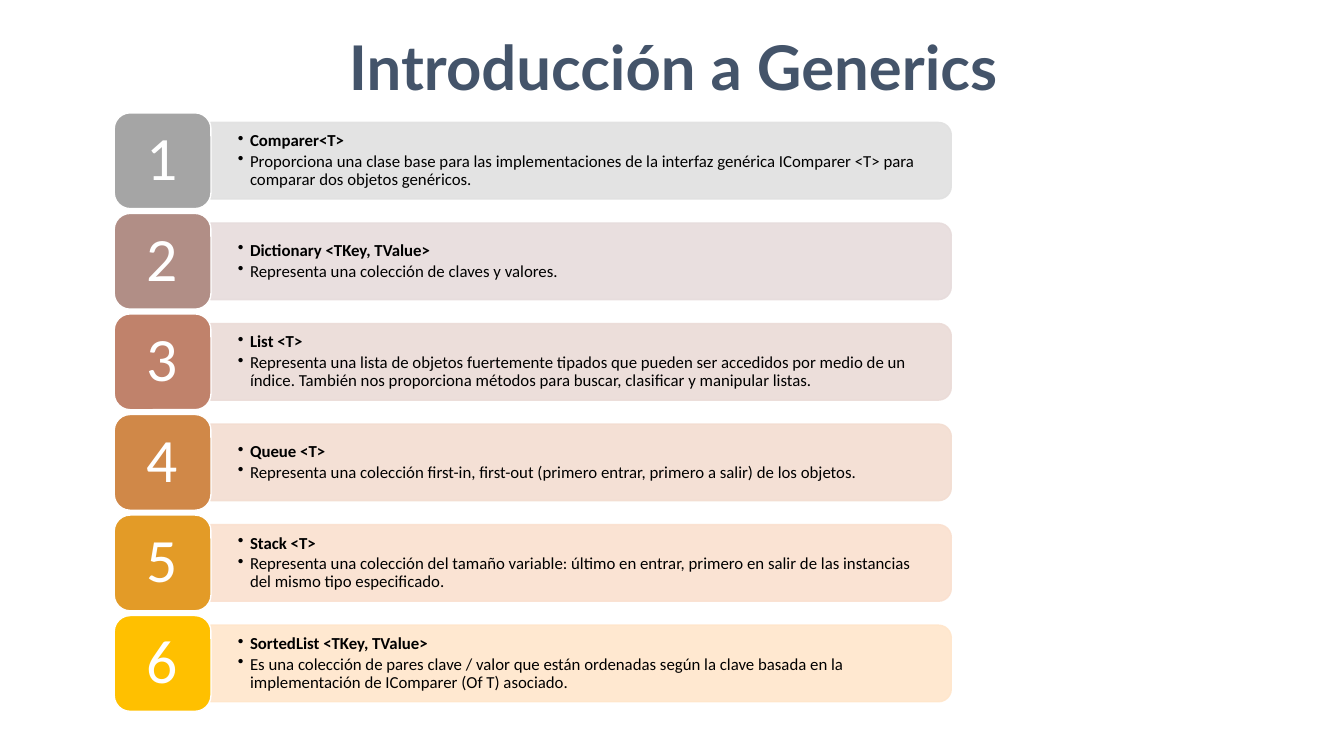
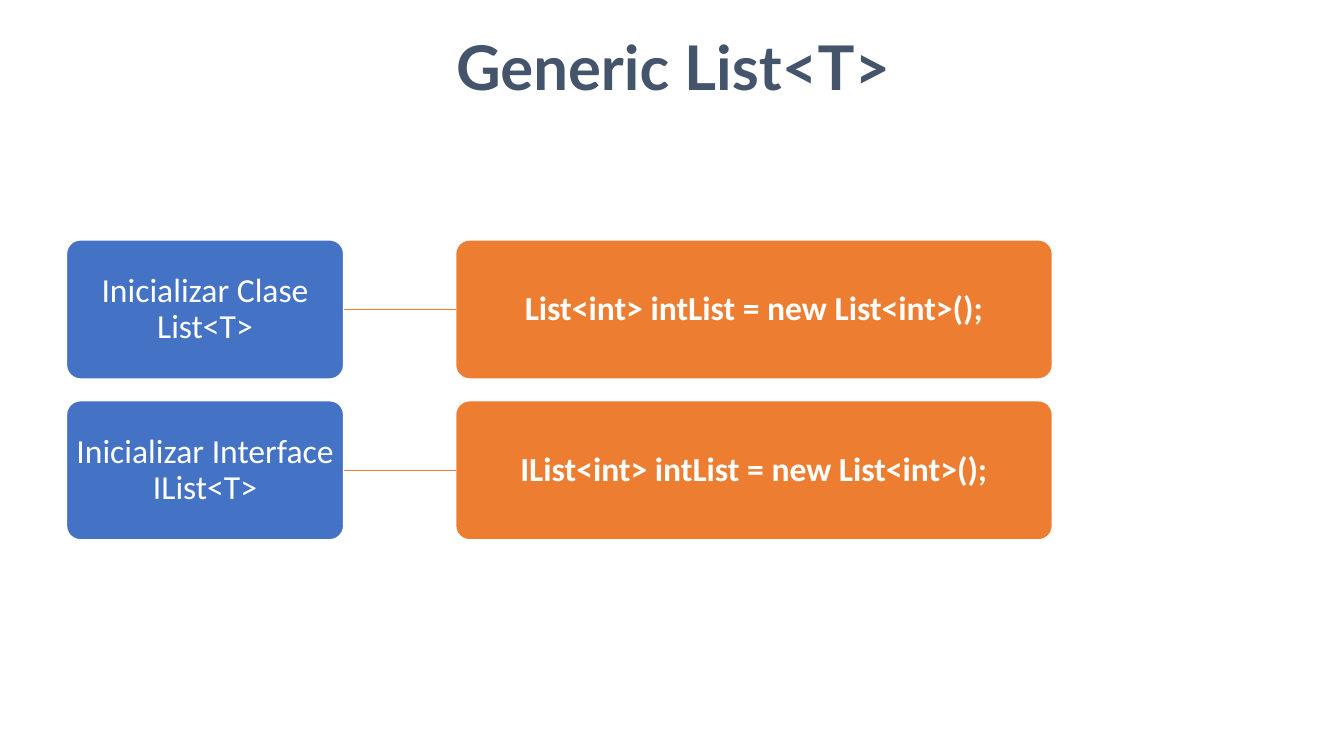
import dataclasses
import typing

import lxml.etree
import pptx
import pptx.dml.color
import pptx.enum.shapes
import pptx.enum.text
import pptx.oxml.ns
import pptx.util

SHAPE = pptx.enum.shapes.MSO_SHAPE
ALIGN = pptx.enum.text.PP_ALIGN
ANCHOR = pptx.enum.text.MSO_ANCHOR
WIDE = pptx.util.Inches(13.33)
HIGH = pptx.util.Inches(7.5)


@dataclasses.dataclass(frozen=True)
class Theme:
    head: str = "Lato"
    body: str = "Calibri"
    navy: str = "44546A"
    blue: str = "4472C4"
    orange: str = "ED7D31"
    white: str = "FFFFFF"
    black: str = "000000"
    big: int = 44
    mid: int = 24
    small: int = 12
    line: int = 1
    lead: float = 0.9
    alpha: int = 90


@dataclasses.dataclass(frozen=True)
class Area:
    """Left, top, width and height in hundredths of the slide's size."""
    left: float
    top: float
    wide: float
    high: float

    def down(self, rows: float) -> "Area":
        return dataclasses.replace(self, top=self.top + rows)

    def box(self) -> tuple[int, int, int, int]:
        return (int(WIDE * self.left / 100), int(HIGH * self.top / 100),
                int(WIDE * self.wide / 100), int(HIGH * self.high / 100))


@dataclasses.dataclass(frozen=True)
class Entry:
    name: str
    about: str
    badge: str
    band: str


@dataclasses.dataclass(frozen=True)
class Pair:
    label: str
    code: str


THEME = Theme()
TITLE = Area(1, 3.5, 98.2, 10.5)
BADGE = Area(8.5, 14.93, 7.2, 12.67)
BAND = Area(15.68, 16.2, 55.1, 10.13)
STEP = 13.3
LABEL = Area(4.95, 31.73, 20.62, 18.4)
CODE = Area(33.9, 31.73, 44.4, 18.4)
PITCH = 21.27

ENTRIES = (
    Entry("Comparer<T>",
          "Proporciona una clase base para las implementaciones de la interfaz "
          "genérica IComparer <T> para comparar dos objetos genéricos.",
          "A5A5A5", "E1E1E1"),
    Entry("Dictionary <TKey, TValue>",
          "Representa una colección de claves y valores.",
          "B18E86", "E7DCDC"),
    Entry("List <T>",
          "Representa una lista de objetos fuertemente tipados que pueden ser "
          "accedidos por medio de un índice. También nos proporciona métodos "
          "para buscar, clasificar y manipular listas.",
          "C0826B", "EBDBD7"),
    Entry("Queue <T>",
          "Representa una colección first-in, first-out (primero entrar, "
          "primero a salir) de los objetos.",
          "D08848", "F3DDD1"),
    Entry("Stack <T>",
          "Representa una colección del tamaño variable: último en entrar, "
          "primero en salir de las instancias del mismo tipo especificado.",
          "E39B27", "FAE0CF"),
    Entry("SortedList <TKey, TValue>",
          "Es una colección de pares clave / valor que están ordenadas según "
          "la clave basada en la implementación de IComparer (Of T) asociado.",
          "FFC000", "FFE6CB"),
)
PAIRS = (
    Pair("Inicializar Clase List<T>", "List<int> intList = new List<int>();"),
    Pair("Inicializar Interface IList<T>",
         "IList<int> intList = new List<int>();"),
)


def hue(code: str) -> pptx.dml.color.RGBColor:
    return pptx.dml.color.RGBColor.from_string(code)


def style(part: typing.Any, face: str, size: int, tint: str,
          bold: bool = False) -> None:
    part.font.name = face
    part.font.size = pptx.util.Pt(size)
    part.font.color.rgb = hue(tint)
    part.font.bold = bold


def frame(shape: typing.Any, side: float, edge: float,
          anchor: typing.Any = ANCHOR.MIDDLE) -> typing.Any:
    """Set wrapping, insets in inches and anchor, and return the text frame."""
    text = shape.text_frame
    text.word_wrap = True
    text.margin_left = text.margin_right = pptx.util.Inches(side)
    text.margin_top = text.margin_bottom = pptx.util.Inches(edge)
    text.vertical_anchor = anchor
    return text


def paint(shape: typing.Any, fill: str, line: str) -> None:
    shape.shadow.inherit = False
    shape.fill.solid()
    shape.fill.fore_color.rgb = hue(fill)
    shape.line.color.rgb = hue(line)
    shape.line.width = pptx.util.Pt(THEME.line)


def fade(shape: typing.Any) -> None:
    """Make the fill and the line slightly see-through."""
    for tone in shape.element.spPr.iter(pptx.oxml.ns.qn("a:srgbClr")):
        lxml.etree.SubElement(tone, pptx.oxml.ns.qn("a:alpha"),
                              val=str(THEME.alpha * 1000))


def bullet(para: typing.Any) -> None:
    props = para._p.get_or_add_pPr()
    hang = pptx.util.Inches(0.12)
    props.set("marL", str(hang))
    props.set("indent", str(-hang))
    lxml.etree.SubElement(props, pptx.oxml.ns.qn("a:buChar"), char="•")


def title(slide: typing.Any, words: str) -> None:
    text = frame(slide.shapes.add_textbox(*TITLE.box()), 0.05, 0.02, ANCHOR.TOP)
    text.text = words
    para = text.paragraphs[0]
    para.alignment = ALIGN.CENTER
    style(para.runs[0], THEME.head, THEME.big, THEME.navy, True)


def card(slide: typing.Any, area: Area, words: str, fill: str, size: int,
         bold: bool = False) -> typing.Any:
    """Draw a rounded box with centred white text."""
    shape = slide.shapes.add_shape(SHAPE.ROUNDED_RECTANGLE, *area.box())
    paint(shape, fill, THEME.white)
    text = frame(shape, 0.02, 0.02)
    text.text = words
    para = text.paragraphs[0]
    para.alignment = ALIGN.CENTER
    para.line_spacing = THEME.lead
    style(para.runs[0], THEME.body, size, THEME.white, bold)
    return shape


def band(slide: typing.Any, area: Area, tint: str) -> None:
    """Draw a bar with round right corners: a tall shape turned by 90 degrees."""
    left, top, wide, high = area.box()
    shift = (wide - high) // 2
    shape = slide.shapes.add_shape(SHAPE.ROUND_2_SAME_RECTANGLE,
                                   left + shift, top - shift, high, wide)
    shape.rotation = 90
    paint(shape, tint, tint)
    fade(shape)


def notes(slide: typing.Any, area: Area, entry: Entry) -> None:
    text = frame(slide.shapes.add_textbox(*area.box()), 0.27, 0.04)
    text.text = f"{entry.name}\n{entry.about}"
    for rank, para in enumerate(text.paragraphs):
        bullet(para)
        para.line_spacing = THEME.lead
        para.space_after = pptx.util.Pt(THEME.small * 0.15)
        style(para.runs[0], THEME.body, THEME.small, THEME.black, rank == 0)


def link(slide: typing.Any, start: typing.Any, end: typing.Any) -> None:
    line = slide.shapes.add_connector(
        pptx.enum.shapes.MSO_CONNECTOR.STRAIGHT, 0, 0, 0, 0)
    line.begin_connect(start, 3)
    line.end_connect(end, 1)
    line.line.color.rgb = hue(THEME.orange)
    line.line.width = pptx.util.Pt(THEME.line)
    lxml.etree.SubElement(line.element.spPr, pptx.oxml.ns.qn("a:effectLst"))


def intro(slide: typing.Any) -> None:
    title(slide, "Introducción a Generics")
    for row, entry in enumerate(ENTRIES):
        area = BAND.down(row * STEP)
        band(slide, area, entry.band)
        notes(slide, area, entry)
        card(slide, BADGE.down(row * STEP), str(row + 1), entry.badge, THEME.big)


def usage(slide: typing.Any) -> None:
    title(slide, "Generic List<T>")
    for row, pair in enumerate(PAIRS):
        label = card(slide, LABEL.down(row * PITCH), pair.label,
                     THEME.blue, THEME.mid)
        code = card(slide, CODE.down(row * PITCH), pair.code,
                    THEME.orange, THEME.mid, True)
        for shape in (label, code):
            shape.adjustments[0] = 0.1
        link(slide, label, code)


def main() -> None:
    deck = pptx.Presentation()
    deck.slide_width, deck.slide_height = WIDE, HIGH
    for draw in (intro, usage):
        draw(deck.slides.add_slide(deck.slide_layouts[6]))
    deck.save("out.pptx")


if __name__ == "__main__":
    main()
